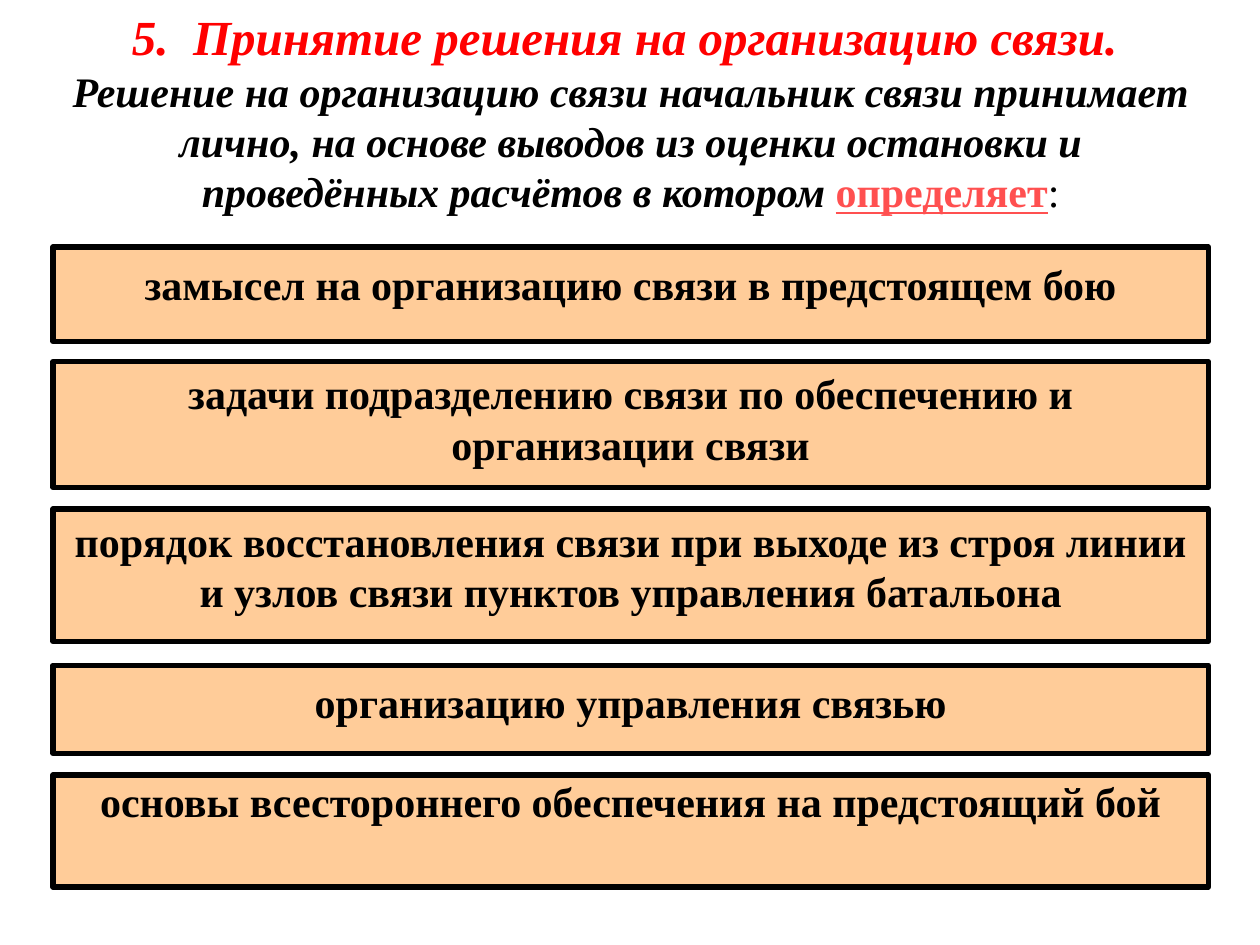
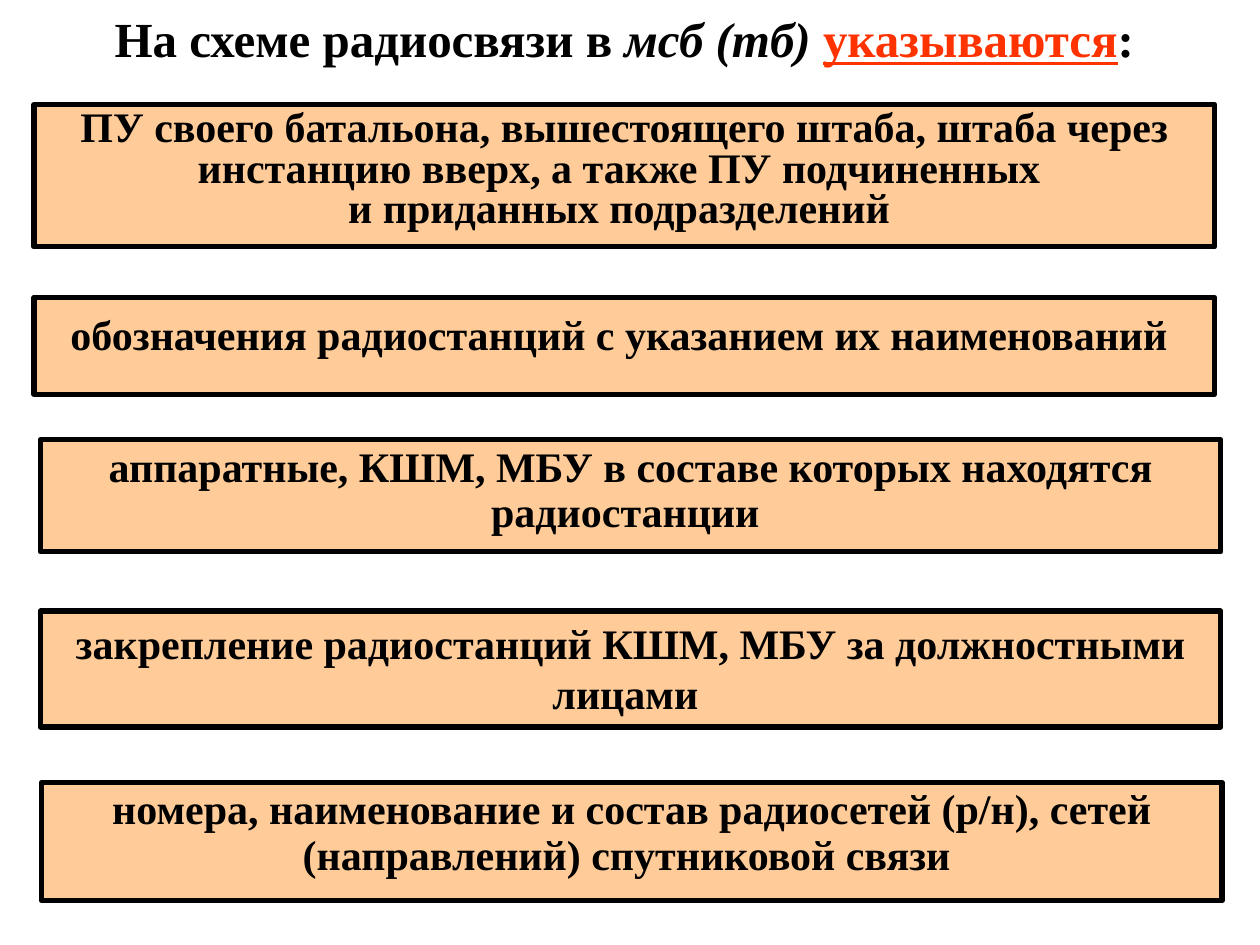
from pptx import Presentation
from pptx.dml.color import RGBColor
from pptx.enum.shapes import MSO_SHAPE as Shape
from pptx.enum.text import MSO_ANCHOR as Anchor, MSO_AUTO_SIZE as AutoSize, PP_ALIGN as Align
from pptx.util import Inches, Pt

COLORS = {
    "text": "000000",
    "panel": "FFCC99",
    "border": "000000",
    "heading": "FF0000",
    "accent_soft": "FF5050",
    "accent": "FF3300",
}
FONT = "Times New Roman"
TITLE_ONLY = 5

# Each panel: top, height, line spacing, paragraphs
DECISION_PANELS = [
    (1.96, 0.75, 1.1, ["замысел на организацию связи в предстоящем бою"]),
    (2.87, 1.0, 1.0, ["задачи подразделению связи по обеспечению и организации связи"]),
    (4.04, 1.05, 1.0, ["порядок восстановления связи при выходе из строя линии "
                       "и узлов связи пунктов управления батальона"]),
    (5.28, 0.7, 1.1, ["организацию управления связью"]),
    (6.15, 0.89, 0.9, ["основы всестороннего обеспечения на предстоящий бой"]),
]

# Each panel: left, then as above
RADIO_PANELS = [
    (0.27, 0.83, 1.13, 0.8, ["ПУ своего батальона, вышестоящего штаба, штаба через "
                             "инстанцию вверх, а также ПУ подчиненных ",
                             "и приданных подразделений "]),
    (0.27, 2.36, 0.77, 1.1, ["обозначения радиостанций с указанием их наименований "]),
    (0.32, 3.49, 0.89, 0.9, ["аппаратные, КШМ, МБУ в составе которых находятся радиостанции "]),
    (0.32, 4.85, 0.92, 1.0, ["закрепление радиостанций КШМ, МБУ за должностными лицами "]),
    (0.33, 6.21, 0.94, 0.9, ["номера, наименование и состав радиосетей (р/н), сетей "
                             "(направлений) спутниковой связи "]),
]


def rgb(name):
    return RGBColor.from_string(COLORS[name])


def add_span(para, text, size=24, color="text", bold=True, italic=False, underline=False):
    span = para.add_run()
    span.text = text
    font = span.font
    font.name, font.size = FONT, Pt(size)
    font.bold, font.italic, font.underline = bold, italic, underline
    font.color.rgb = rgb(color)


def format_frame(frame):
    frame.word_wrap = True
    frame.auto_size = AutoSize.NONE
    frame.vertical_anchor = Anchor.TOP
    frame.margin_left = frame.margin_right = Inches(0.1)
    frame.margin_top = frame.margin_bottom = Inches(0.05)


def fill_frame(frame, paragraphs, spacing=1.0):
    """Write paragraphs, each a list of (text, format) spans."""
    format_frame(frame)
    for index, spans in enumerate(paragraphs):
        para = frame.add_paragraph() if index else frame.paragraphs[0]
        para.alignment = Align.CENTER
        para.line_spacing = spacing
        for text, style in spans:
            add_span(para, text, **style)


def add_page(deck, left, top, width, height, title):
    page = deck.slides.add_slide(deck.slide_layouts[TITLE_ONLY])
    box = page.shapes.title
    box.left, box.top = Inches(left), Inches(top)
    box.width, box.height = Inches(width), Inches(height)
    fill_frame(box.text_frame, title)
    return page


def add_panel(page, left, top, width, height, spacing, lines):
    box = page.shapes.add_shape(Shape.RECTANGLE, Inches(left), Inches(top),
                                Inches(width), Inches(height))
    box.shadow.inherit = False
    box.fill.solid()
    box.fill.fore_color.rgb = rgb("panel")
    box.line.color.rgb = rgb("border")
    box.line.width = Pt(3)
    fill_frame(box.text_frame, [[(line, {})] for line in lines], spacing)


def add_decision_page(deck):
    left, width = 0.42, 9.17
    page = add_page(deck, left, 0, width, 1.83, [
        [("5.  Принятие решения на организацию связи. ",
          dict(size=28, color="heading", italic=True))],
        [("Решение на организацию связи начальник связи принимает лично, на основе "
          "выводов из оценки остановки и проведённых расчётов в котором ", dict(italic=True)),
         ("определяет", dict(color="accent_soft", underline=True)),
         (":", dict(bold=False))],
    ])
    for top, height, spacing, lines in DECISION_PANELS:
        add_panel(page, left, top, width, height, spacing, lines)


def add_radio_page(deck):
    width = 9.37
    page = add_page(deck, 0.27, 0.02, width, 0.61, [
        [("На схеме радиосвязи в ", dict(size=28)),
         ("мсб (тб) ", dict(size=28, italic=True)),
         ("указываются", dict(size=28, color="accent", underline=True)),
         (":", dict(size=28))],
    ])
    for left, top, height, spacing, lines in RADIO_PANELS:
        add_panel(page, left, top, width, height, spacing, lines)


def main():
    deck = Presentation()
    deck.slide_width, deck.slide_height = Inches(10), Inches(7.5)
    add_decision_page(deck)
    add_radio_page(deck)
    deck.save("out.pptx")


if __name__ == "__main__":
    main()
